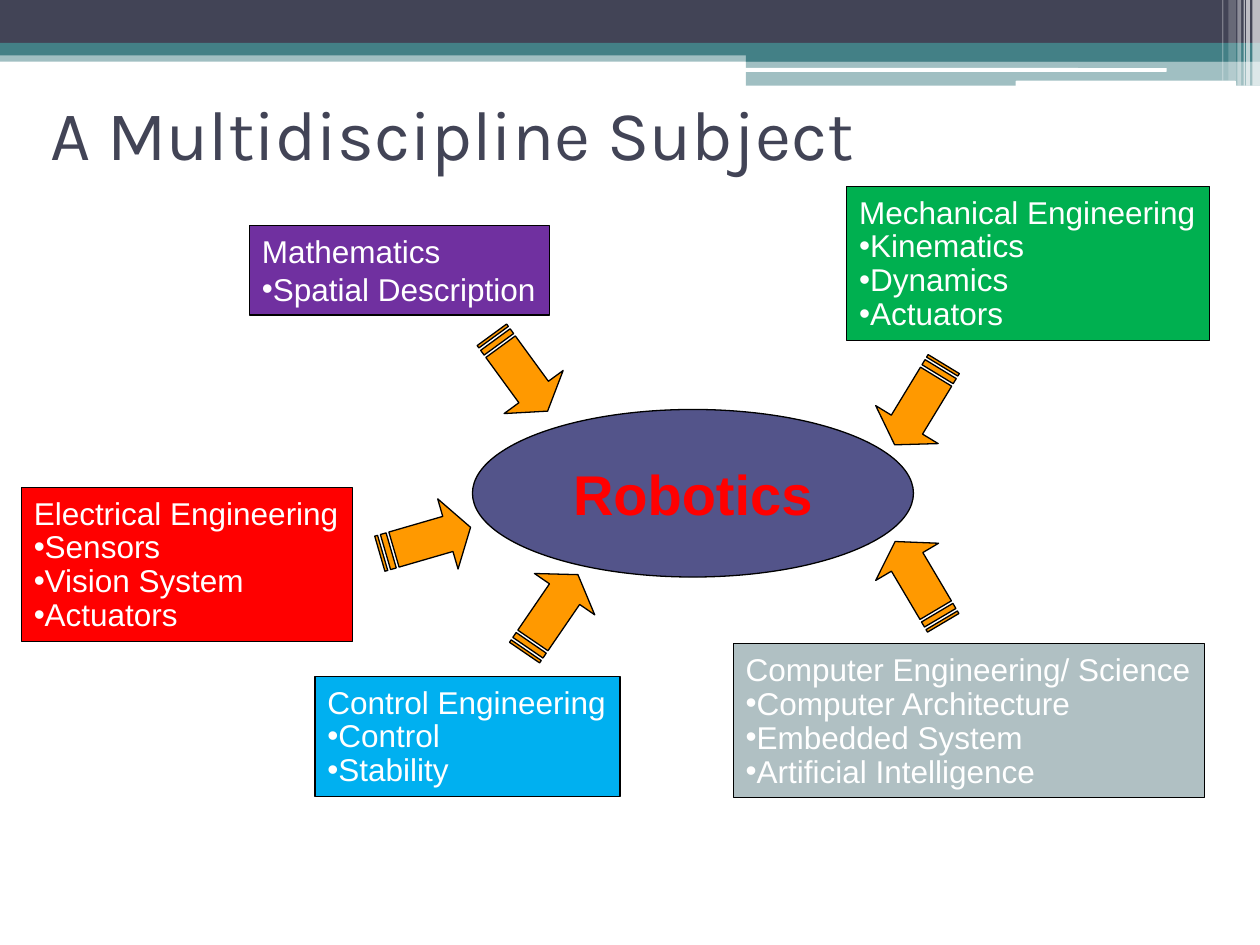
from dataclasses import dataclass
from typing import Optional

from lxml import etree
from pptx import Presentation
from pptx import util as u
from pptx.dml.color import RGBColor
from pptx.enum import shapes, text
from pptx.oxml.ns import qn

KIND = shapes.MSO_SHAPE


@dataclass(frozen=True)
class Theme:
    dark: str = "424456"
    teal: str = "438086"
    white: str = "FFFFFF"
    black: str = "000000"
    hub: str = "53548A"
    hub_text: str = "FF0000"
    arrow: str = "FF9900"
    title_font: str = "Karla"
    body_font: str = "Arial"
    title_size: int = 40
    hub_size: int = 32
    body_size: int = 18
    outline: float = 0.75


THEME = Theme()


@dataclass(frozen=True)
class Box:
    left: float
    top: float
    width: float
    height: float


@dataclass(frozen=True)
class Bar:
    box: Box
    color: str
    opacity: int = 100
    rounded: bool = False


@dataclass(frozen=True)
class Discipline:
    name: str
    topics: tuple[str, ...]
    box: Box
    color: str
    topic_spacing: float = 0.9


@dataclass(frozen=True)
class Arrow:
    left: float
    top: float
    rotation: float


# left, width, height and opacity of the thin stripes at the right edge
EDGE_STRIPES = (
    (9.94, 0.06, 0.68, 65),
    (9.89, 0.03, 0.68, 65),
    (9.87, 0.01, 0.68, 60),
    (9.82, 0.03, 0.68, 40),
    (9.75, 0.06, 0.64, 20),
    (9.7, 0.01, 0.64, 30),
)

HEADER_BARS = (
    Bar(Box(0, 0.4, 10, 0.09), THEME.teal, 50),
    Bar(Box(0, 0, 10, 0.34), THEME.dark),
    Bar(Box(0, 0.34, 10, 0.1), THEME.teal),
    Bar(Box(5.92, 0.39, 4.08, 0.1), THEME.teal),
    Bar(Box(5.92, 0.48, 4.08, 0.2), THEME.teal, 50),
    Bar(Box(5.91, 0.54, 3.35, 0.03), THEME.white, rounded=True),
    Bar(Box(8.06, 0.64, 1.75, 0.05), THEME.white, rounded=True),
) + tuple(
    Bar(Box(left, 0, width, height), THEME.white, opacity)
    for left, width, height, opacity in EDGE_STRIPES
)

DISCIPLINES = (
    Discipline("Mathematics", ("Spatial Description",),
               Box(1.98, 1.79, 2.38, 0.71), "7030A0", 1.0),
    Discipline("Mechanical Engineering", ("Kinematics", "Dynamics", "Actuators"),
               Box(6.72, 1.48, 2.88, 1.22), "00B050"),
    Discipline("Computer Engineering/ Science",
               ("Computer Architecture", "Embedded System", "Artificial Intelligence"),
               Box(5.82, 5.11, 3.74, 1.22), "B0C0C3"),
    Discipline("Control Engineering", ("Control", "Stability"),
               Box(2.5, 5.37, 2.42, 0.95), "00B0F0"),
    Discipline("Electrical Engineering", ("Sensors", "Vision System", "Actuators"),
               Box(0.17, 3.87, 2.63, 1.22), "FF0000"),
)

ARROWS = (
    Arrow(4, 4.58, 304.4),
    Arrow(6.92, 4.33, 239.4),
    Arrow(6.92, 2.92, 121.3),
    Arrow(3.75, 2.67, 53.9),
    Arrow(3, 4, 343.8),
)

# striped arrow pointing right, on a grid of 32 columns and 4 rows
ARROW_SIZE = (0.75, 0.58)
ARROW_GRID = (32, 4)
ARROW_OUTLINES = (
    ((24, 0), (24, 1), (5, 1), (5, 3), (24, 3), (24, 4), (32, 2)),
    ((2, 1), (2, 3), (4, 3), (4, 1)),
    ((0, 1), (0, 3), (1, 3), (1, 1)),
)


def place(shape, box: Box) -> None:
    shape.left, shape.top = u.Inches(box.left), u.Inches(box.top)
    shape.width, shape.height = u.Inches(box.width), u.Inches(box.height)


def paint(shape, color: str, line: Optional[str] = THEME.black) -> None:
    shape.shadow.inherit = False
    shape.fill.solid()
    shape.fill.fore_color.rgb = RGBColor.from_string(color)
    if line is None:
        shape.line.fill.background()
    else:
        shape.line.color.rgb = RGBColor.from_string(line)
        shape.line.width = u.Pt(THEME.outline)


def add_filled(slide, kind, box: Box, color: str, line: Optional[str] = THEME.black):
    shape = slide.shapes.add_shape(kind, 0, 0, 0, 0)
    place(shape, box)
    paint(shape, color, line)
    return shape


def format_runs(paragraph, font: str, size: int, color: str, bold: bool = False) -> None:
    for run in paragraph.runs:
        run.font.name = font
        run.font.size = u.Pt(size)
        run.font.bold = bold
        run.font.color.rgb = RGBColor.from_string(color)


def add_bullet(paragraph) -> None:
    properties = paragraph._p.get_or_add_pPr()
    etree.SubElement(properties, qn("a:buFont"), typeface=THEME.body_font)
    etree.SubElement(properties, qn("a:buChar"), char="•")


def add_bar(slide, bar: Bar) -> None:
    kind = KIND.ROUNDED_RECTANGLE if bar.rounded else KIND.RECTANGLE
    shape = add_filled(slide, kind, bar.box, bar.color, line=None)
    if bar.opacity < 100:
        color = shape._element.spPr.find(qn("a:solidFill"))[0]
        etree.SubElement(color, qn("a:alpha"), val=str(bar.opacity * 1000))


def set_title(slide, words: str) -> None:
    title = slide.shapes.title
    place(title, Box(0.3, 0.47, 9, 1.17))
    frame = title.text_frame
    frame.text = words
    frame.auto_size = text.MSO_AUTO_SIZE.NONE
    frame.vertical_anchor = text.MSO_ANCHOR.MIDDLE
    frame.paragraphs[0].alignment = text.PP_ALIGN.LEFT
    format_runs(frame.paragraphs[0], THEME.title_font, THEME.title_size, THEME.dark)


def add_hub(slide, words: str) -> None:
    frame = add_filled(slide, KIND.OVAL, Box(3.75, 3.25, 3.5, 1.33), THEME.hub).text_frame
    frame.text = words
    frame.word_wrap = False
    frame.vertical_anchor = text.MSO_ANCHOR.MIDDLE
    frame.paragraphs[0].alignment = text.PP_ALIGN.CENTER
    format_runs(frame.paragraphs[0], THEME.body_font, THEME.hub_size, THEME.hub_text, bold=True)


def add_discipline(slide, discipline: Discipline) -> None:
    frame = add_filled(slide, KIND.RECTANGLE, discipline.box, discipline.color).text_frame
    frame.text = "\n".join((discipline.name, *discipline.topics))
    frame.word_wrap = False
    frame.auto_size = text.MSO_AUTO_SIZE.SHAPE_TO_FIT_TEXT
    frame.vertical_anchor = text.MSO_ANCHOR.TOP
    for index, paragraph in enumerate(frame.paragraphs):
        paragraph.alignment = text.PP_ALIGN.LEFT
        format_runs(paragraph, THEME.body_font, THEME.body_size, THEME.white)
        if index > 0:
            paragraph.line_spacing = discipline.topic_spacing
            add_bullet(paragraph)


def add_arrow(slide, arrow: Arrow) -> None:
    scale = tuple(u.Inches(size) / cells for size, cells in zip(ARROW_SIZE, ARROW_GRID))
    head, *stripes = ARROW_OUTLINES
    builder = slide.shapes.build_freeform(*head[0], scale=scale)
    builder.add_line_segments(head[1:], close=True)
    for stripe in stripes:
        builder.move_to(*stripe[0])
        builder.add_line_segments(stripe[1:], close=True)
    shape = builder.convert_to_shape(u.Inches(arrow.left), u.Inches(arrow.top))
    paint(shape, THEME.arrow)
    shape.rotation = arrow.rotation


def main() -> None:
    presentation = Presentation()
    presentation.slide_width, presentation.slide_height = u.Inches(10), u.Inches(7.5)
    slide = presentation.slides.add_slide(presentation.slide_layouts.get_by_name("Title Only"))
    for bar in HEADER_BARS:
        add_bar(slide, bar)
    set_title(slide, "A Multidiscipline Subject")
    add_hub(slide, "Robotics")
    for discipline in DISCIPLINES:
        add_discipline(slide, discipline)
    for arrow in ARROWS:
        add_arrow(slide, arrow)
    presentation.save("out.pptx")


if __name__ == "__main__":
    main()
